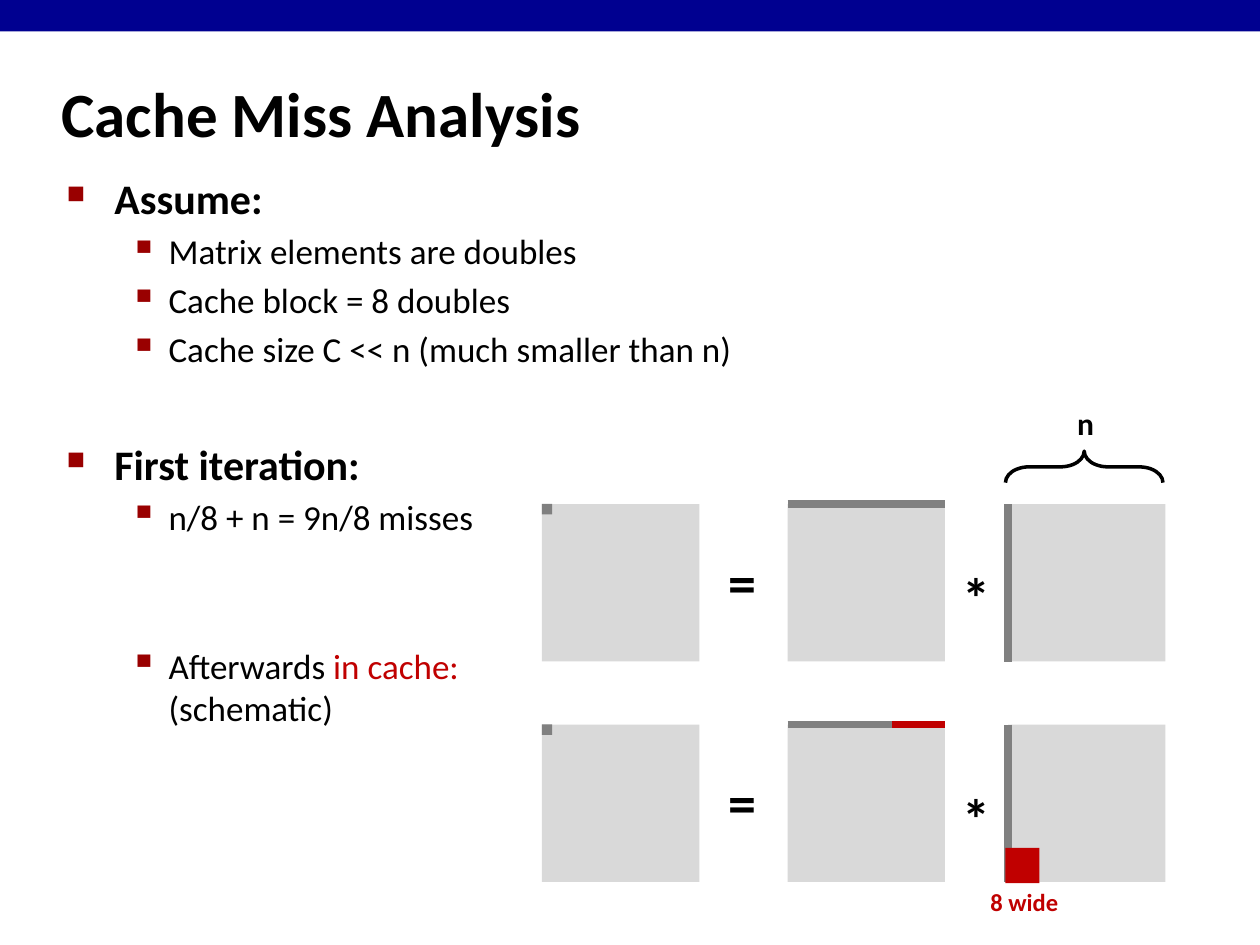
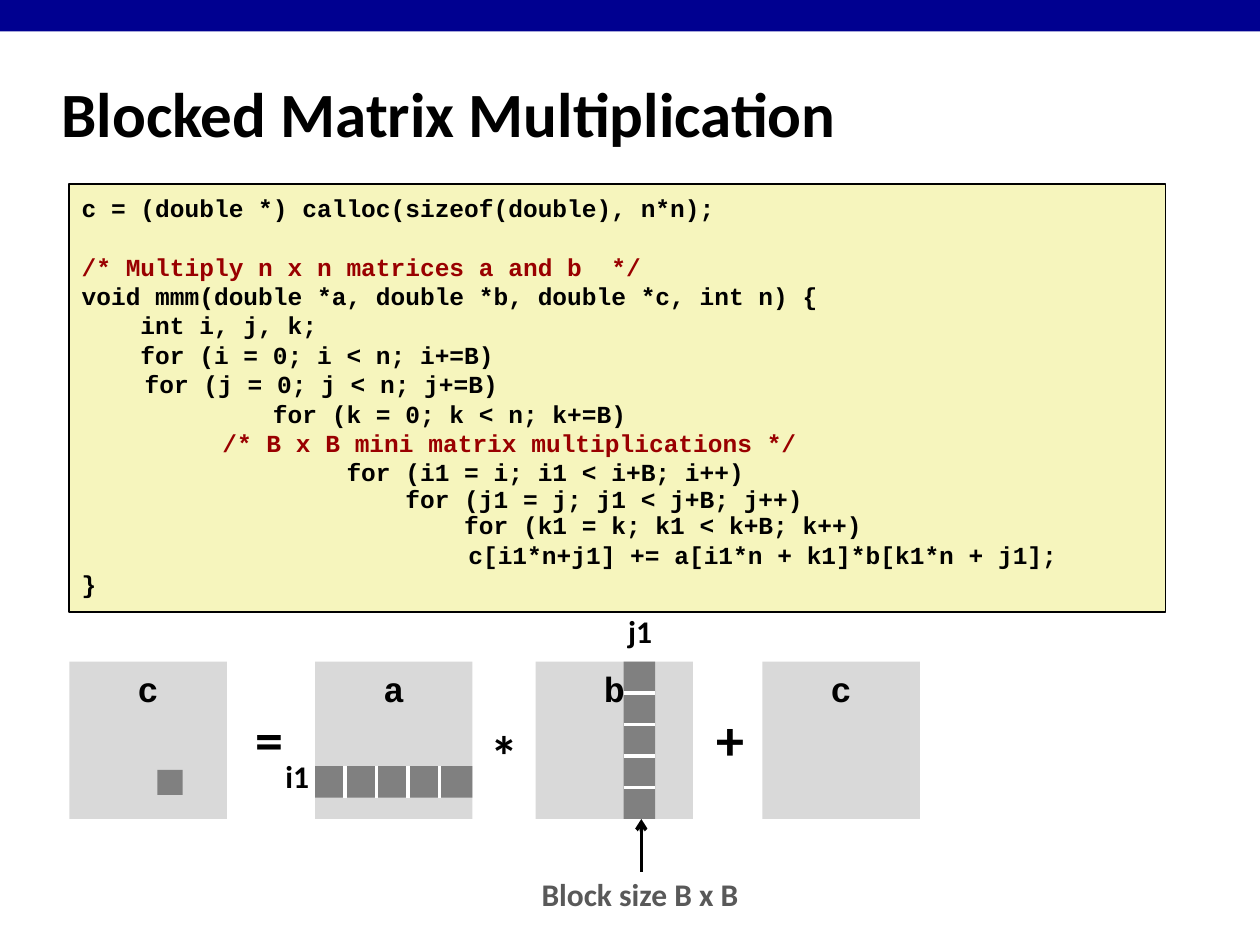
from dataclasses import dataclass

from lxml.etree import SubElement
from pptx import Presentation
from pptx.dml.color import RGBColor
from pptx.enum.shapes import MSO_CONNECTOR as Connector, MSO_SHAPE as Preset
from pptx.enum.text import MSO_ANCHOR as Anchor, PP_ALIGN as Align
from pptx.oxml.ns import qn
from pptx.util import Inches, Pt


@dataclass(frozen=True)
class Theme:
    sans: str = "Calibri"
    mono: str = "Courier New"
    band: str = "000090"
    ink: str = "000000"
    paper: str = "FFFFFF"
    matrix: str = "D9D9D9"
    used: str = "808080"
    cached: str = "C00000"
    accent: str = "990000"
    caption: str = "595959"
    code_fill: str = "F6F5BD"
    title_size: int = 36
    operator_size: int = 32
    label_size: int = 18
    name_size: int = 20
    small_size: int = 14
    strip_width: float = 4.5
    code_pitch: float = 16.8


THEME = Theme()
WIDTH, HEIGHT = 10, 7.5
UNIT = 0.25             # side of one block
SIDE = 5 * UNIT         # side of one matrix

# Level, space before in points, lines of (text, colour) runs
ASSUMPTIONS = [
    (0, 0, [[("Assume:", THEME.ink)]]),
    (1, 4, [[("Matrix elements are doubles", THEME.ink)]]),
    (1, 4, [[("Cache block = 8 doubles", THEME.ink)]]),
    (1, 4, [[("Cache size C << n (much smaller than n)", THEME.ink)]]),
    (0, 39, [[("First iteration:", THEME.ink)]]),
    (1, 4, [[("n/8 + n = 9n/8 misses", THEME.ink)]]),
    (1, 61, [[("Afterwards ", THEME.ink), ("in cache:", THEME.cached)],
             [("(schematic)", THEME.ink)]]),
]
# Size, left margin, hanging indent, bullet, bullet size in percent, bold
LEVELS = [(24, 0.38, 0.38, "■", 60, True), (20, 0.81, 0.31, "▪", 110, False)]

MISS_COLUMNS = (4.3, 6.25, 8)
MISS_ROWS = (4, 5.75)

CODE = r"""c = (double *) calloc(sizeof(double), n*n);

/* Multiply n x n matrices a and b  */
void mmm(double *a, double *b, double *c, int n) {
    int i, j, k;
    for (i = 0; i < n; i+=B)
	for (j = 0; j < n; j+=B)
             for (k = 0; k < n; k+=B)
		 /* B x B mini matrix multiplications */
                  for (i1 = i; i1 < i+B; i++)
                      for (j1 = j; j1 < j+B; j++)
                          for (k1 = k; k1 < k+B; k++)
	                      c[i1*n+j1] += a[i1*n + k1]*b[k1*n + j1];
}"""
TIGHT_STARTS = ("for (j1", "for (k1")

BLOCKED_TOP = 5.25
BLOCKED_MATRICES = [("c", 0.55), ("a", 2.5), ("b", 4.25), ("c", 6.05)]
# Text, centre x, centre y
BLOCKED_OPERATORS = [("=", 2.14, 5.9), ("*", 4, 6.02), ("+", 5.8, 5.9)]


def color(value):
    return RGBColor.from_string(value)


def set_font(paragraph, size, value=THEME.ink, bold=True, name=THEME.sans):
    font = paragraph.font
    font.name, font.size, font.bold = name, Pt(size), bold
    font.color.rgb = color(value)


def add_preset(slide, left, top, width, height, fill=None, line=None,
               line_width=1, preset=Preset.RECTANGLE):
    shape = slide.shapes.add_shape(
        preset, Inches(left), Inches(top), Inches(width), Inches(height))
    shape.shadow.inherit = False
    if fill:
        shape.fill.solid()
        shape.fill.fore_color.rgb = color(fill)
    else:
        shape.fill.background()
    if line:
        shape.line.color.rgb = color(line)
        shape.line.width = Pt(line_width)
    else:
        shape.line.fill.background()
    return shape


def add_line(slide, start, end, value, width, arrow=False):
    ends = [Inches(length) for length in (*start, *end)]
    line = slide.shapes.add_connector(Connector.STRAIGHT, *ends)
    line.line.color.rgb = color(value)
    line.line.width = Pt(width)
    properties = line._element.spPr
    if arrow:
        SubElement(properties.find(qn("a:ln")), qn("a:tailEnd"), type="arrow")
    SubElement(properties, qn("a:effectLst"))


def add_text_box(slide, left, top, width, height):
    box = slide.shapes.add_textbox(
        Inches(left), Inches(top), Inches(width), Inches(height))
    box.text_frame.word_wrap = True
    return box.text_frame


def add_label(slide, text, center_x, center_y, size=THEME.label_size,
              value=THEME.ink):
    """Put one bold line of text around a centre point."""
    width = 0.2 + len(text) * size / 120
    height = 0.1 + size * 0.9 * 1.22 / 72
    frame = add_text_box(slide, center_x - width / 2, center_y - height / 2,
                         width, height)
    frame.word_wrap = False
    paragraph = frame.paragraphs[0]
    paragraph.text = text
    paragraph.alignment = Align.CENTER
    paragraph.line_spacing = 0.9
    set_font(paragraph, size, value)


def add_matrix(slide, left, top, name=""):
    matrix = add_preset(slide, left, top, SIDE, SIDE, THEME.matrix)
    if name:
        frame = matrix.text_frame
        frame.vertical_anchor = Anchor.TOP
        paragraph = frame.paragraphs[0]
        paragraph.text = name
        paragraph.alignment = Align.CENTER
        set_font(paragraph, THEME.name_size, name=THEME.mono)


def new_slide(presentation, title):
    slide = presentation.slides.add_slide(presentation.slide_layouts[6])
    add_preset(slide, 0, 0, WIDTH, UNIT, THEME.band)
    frame = add_text_box(slide, 0.39, 0.48, 8.3, 0.83)
    frame.vertical_anchor = Anchor.MIDDLE
    frame.paragraphs[0].text = title
    set_font(frame.paragraphs[0], THEME.title_size)
    return slide


def next_paragraph(frame, index):
    return frame.add_paragraph() if index else frame.paragraphs[0]


def add_bullets(frame, items):
    for index, (level, space, lines) in enumerate(items):
        size, margin, hanging, bullet, percent, bold = LEVELS[level]
        paragraph = next_paragraph(frame, index)
        properties = paragraph._p.get_or_add_pPr()
        properties.set("marL", str(Inches(margin)))
        properties.set("indent", str(-Inches(hanging)))
        if space:
            paragraph.space_before = Pt(space)
        bullet_color = SubElement(properties, qn("a:buClr"))
        SubElement(bullet_color, qn("a:srgbClr"), val=THEME.accent)
        SubElement(properties, qn("a:buSzPct"), val=str(percent * 1000))
        SubElement(properties, qn("a:buChar"), char=bullet)
        set_font(paragraph, size, bold=bold)
        for number, runs in enumerate(lines):
            if number:
                paragraph.add_line_break()
            for text, value in runs:
                run = paragraph.add_run()
                run.text = text
                run.font.color.rgb = color(value)


def add_code(slide, code):
    box = add_preset(slide, 0.55, 1.46, 8.7, 3.4, THEME.code_fill, THEME.ink)
    frame = box.text_frame
    frame.word_wrap = True
    frame.vertical_anchor = Anchor.TOP
    frame.margin_top = Inches(0.07)
    index = gap = 0
    for line in code.split("\n"):
        if not line:
            gap += THEME.code_pitch
            continue
        start = line.lstrip()
        paragraph = next_paragraph(frame, index)
        paragraph.text = line
        paragraph.alignment = Align.LEFT
        tight = 0.9 if start.startswith(TIGHT_STARTS) else 1
        paragraph.line_spacing = Pt(THEME.code_pitch * tight)
        if gap:
            paragraph.space_before = Pt(gap)
        value = THEME.accent if start.startswith("/*") else THEME.ink
        set_font(paragraph, THEME.small_size, value, name=THEME.mono)
        index, gap = index + 1, 0


def build_miss_analysis(presentation):
    slide = new_slide(presentation, "Cache Miss Analysis")
    add_bullets(add_text_box(slide, 0.43, 1.32, 8.64, 4.6), ASSUMPTIONS)
    result, left, right = MISS_COLUMNS
    for top in MISS_ROWS:
        for column in MISS_COLUMNS:
            add_matrix(slide, column, top)
        add_preset(slide, result, top, UNIT / 3, UNIT / 3, THEME.used)
        for start, end in [((left, top), (left + SIDE, top)),
                           ((right, top), (right, top + SIDE))]:
            add_line(slide, start, end, THEME.used, THEME.strip_width)
        add_label(slide, "=", 5.89, top + 0.65, THEME.operator_size)
        add_label(slide, "*", 7.75, top + 0.77, THEME.operator_size)

    brace = add_preset(slide, 8.48, 3.08, UNIT, SIDE, line=THEME.ink,
                       line_width=2, preset=Preset.LEFT_BRACE)
    brace.adjustments[0] = 0.75
    brace.rotation = 90
    brace._element.spPr.xfrm.set("flipV", "1")
    add_label(slide, "n", right + SIDE / 2 - 0.01, 3.38)

    cached_top = MISS_ROWS[-1]
    add_line(slide, (left + SIDE * 2 / 3, cached_top),
             (left + SIDE, cached_top), THEME.cached, THEME.strip_width)
    add_preset(slide, right - 0.02, cached_top + SIDE - 0.27, 0.27, 0.28,
               THEME.cached)
    add_label(slide, "8 wide", 8.13, 7.17, THEME.small_size, THEME.cached)


def build_blocked(presentation):
    slide = new_slide(presentation, "Blocked Matrix Multiplication")
    add_code(slide, CODE)
    for name, left in BLOCKED_MATRICES:
        add_matrix(slide, left, BLOCKED_TOP, name)
    for text, center_x, center_y in BLOCKED_OPERATORS:
        add_label(slide, text, center_x, center_y, THEME.operator_size)

    row_left, row_top = BLOCKED_MATRICES[1][1], 6.08
    column_left, bottom = 4.95, BLOCKED_TOP + SIDE
    add_preset(slide, 1.25, 6.11, 0.2, 0.2, THEME.used)
    add_preset(slide, row_left, row_top, SIDE, UNIT, THEME.used)
    add_preset(slide, column_left, BLOCKED_TOP, UNIT, SIDE, THEME.used)
    for step in range(1, 5):
        x = row_left + step * UNIT - 0.01
        y = BLOCKED_TOP + step * UNIT
        add_line(slide, (x, row_top), (x, row_top + UNIT), THEME.paper, 2)
        add_line(slide, (column_left, y), (column_left + UNIT, y),
                 THEME.paper, 2)

    add_label(slide, "i1", 2.36, 6.18)
    add_label(slide, "j1", 5.08, 5.03)
    add_label(slide, "Block size B x B", 5.08, 7.12, value=THEME.caption)
    add_line(slide, (5.09, 6.92), (5.09, bottom), THEME.ink, 2, arrow=True)


def main():
    presentation = Presentation()
    presentation.slide_width = Inches(WIDTH)
    presentation.slide_height = Inches(HEIGHT)
    build_miss_analysis(presentation)
    build_blocked(presentation)
    presentation.save("out.pptx")


if __name__ == "__main__":
    main()
